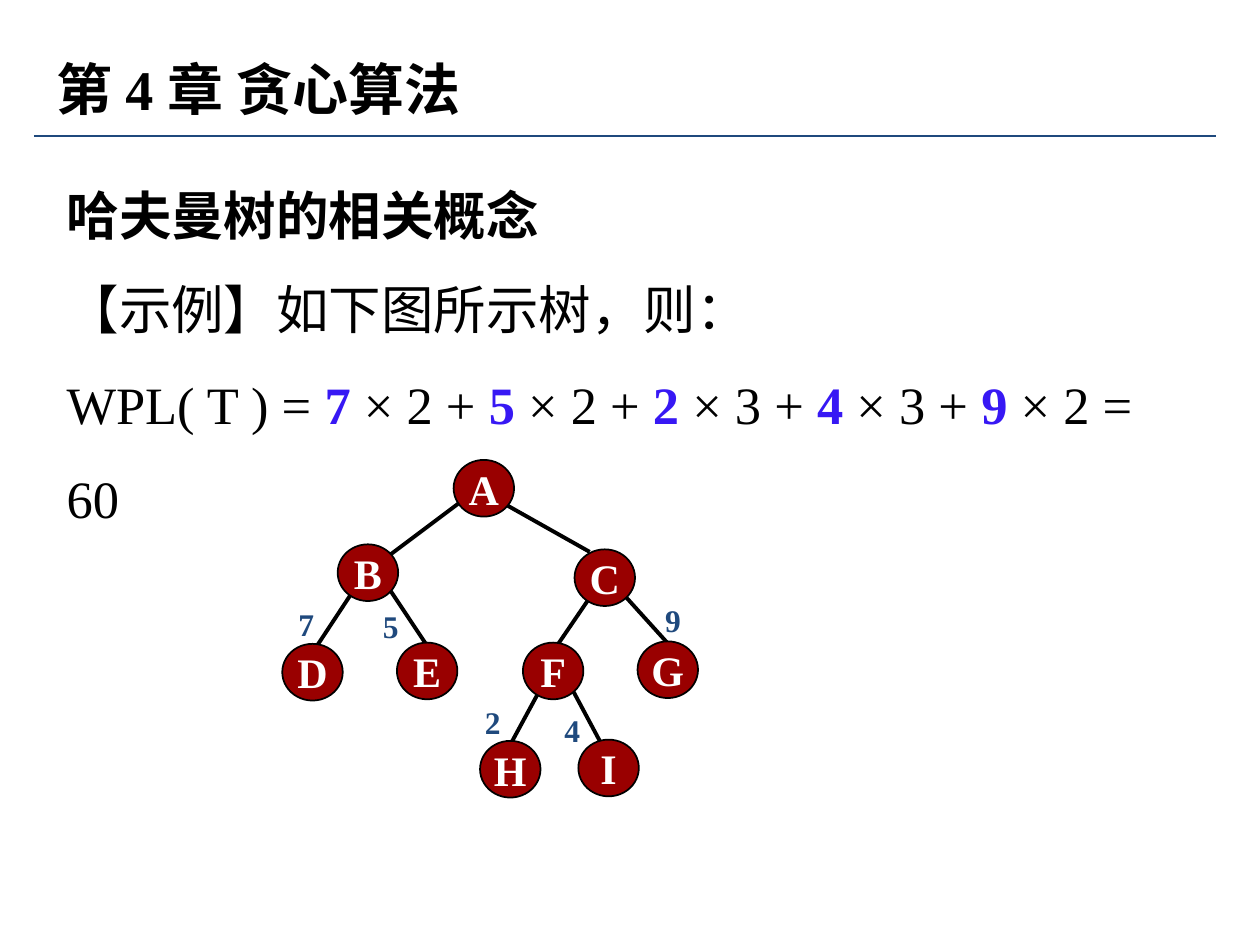
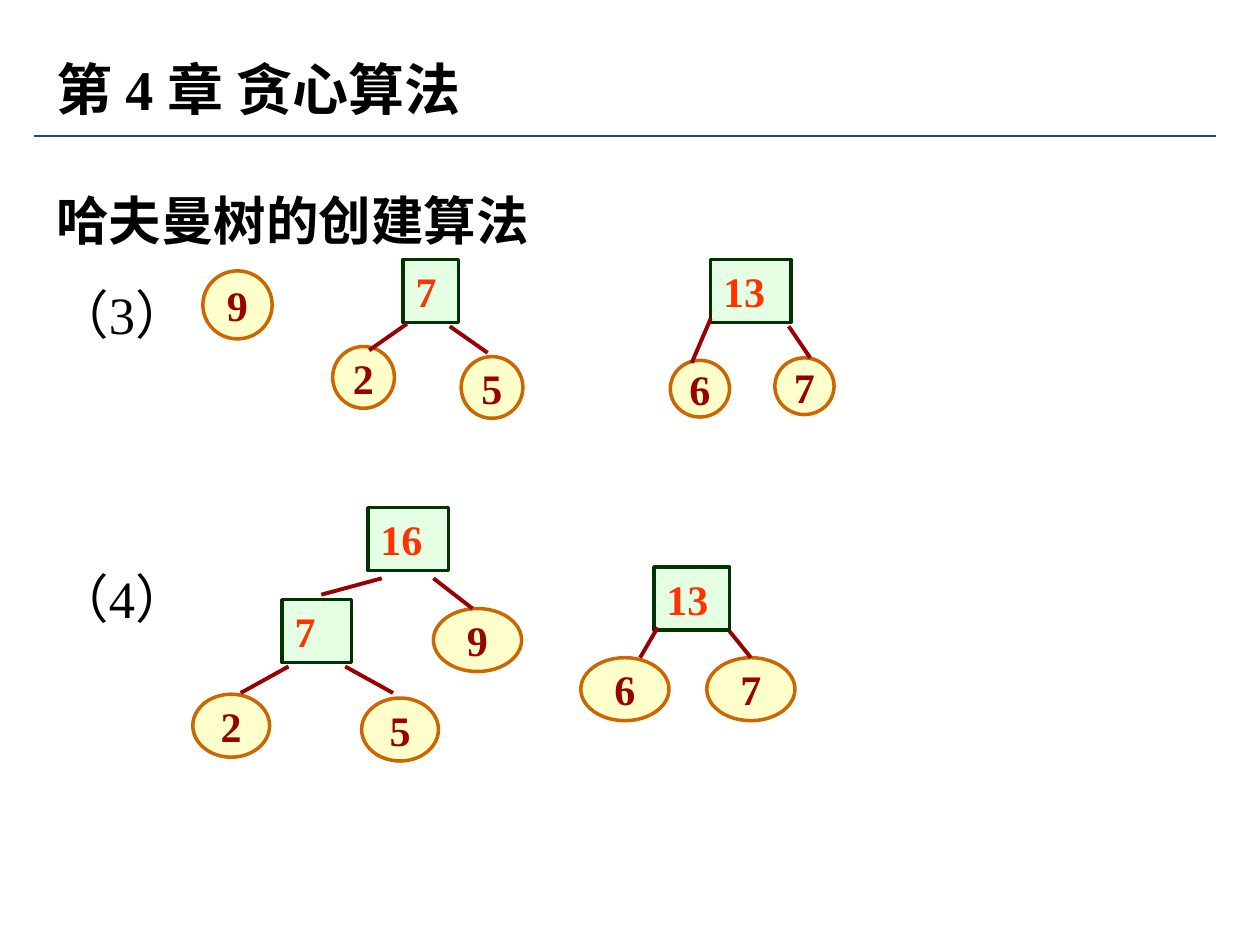
"""Builds two slides on Huffman trees: weighted path length and tree construction."""
from lxml import etree
from pptx import Presentation
from pptx.dml.color import RGBColor
from pptx.enum.shapes import MSO_CONNECTOR, MSO_SHAPE
from pptx.enum.text import MSO_ANCHOR, PP_ALIGN
from pptx.oxml.ns import qn
from pptx.util import Inches, Pt

STRAIGHT = MSO_CONNECTOR.STRAIGHT
ELLIPSE, RECTANGLE = MSO_SHAPE.OVAL, MSO_SHAPE.RECTANGLE
LEFT, CENTER = PP_ALIGN.LEFT, PP_ALIGN.CENTER
TOP, MIDDLE = MSO_ANCHOR.TOP, MSO_ANCHOR.MIDDLE

FONT = "Times New Roman"
BLACK, WHITE, NAVY, VIOLET = "000000", "FFFFFF", "1F497D", "3718F4"
DARK_RED, ORANGE_RED = "990000", "FF3300"
LEAF_FILL, LEAF_LINE = "FFFF99", "CC6600"
SUM_FILL, SUM_LINE = "CCFFCC", "003300"

CHAPTER = "第 4 章 贪心算法"
CHAPTER_BOX = (0.35, 0.38, 6.46, 0.64)
CHAPTER_RULE = (0.27, 1.08, 9.65, 1.08)

CONCEPT_BOX = (0.43, 1.15, 9.06, 3.1)
CONCEPT_HEADING = "哈夫曼树的相关概念"
CONCEPT_INTRO = "【示例】如下图所示树，则："
WPL_START, WPL_RESULT = "WPL( T ) = ", " = 60"
WPL_TERMS = [(7, 2), (5, 2), (2, 3), (4, 3), (9, 2)]

TREE_NODE_SIZE = (0.48, 0.45)
TREE_NODES = {
    "A": (3.6, 3.65), "B": (2.68, 4.32), "C": (4.56, 4.36),
    "D": (2.24, 5.11), "E": (3.15, 5.1), "F": (4.15, 5.1),
    "G": (5.06, 5.09), "H": (3.81, 5.88), "I": (4.59, 5.87),
}
TREE_BRANCHES = [
    (3.97, 3.98, 4.68, 4.38), (3.66, 3.98, 3.06, 4.43),
    (4.31, 5.43, 4.05, 5.91), (4.52, 5.43, 4.76, 5.88),
    (2.79, 4.71, 2.48, 5.18), (3.1, 4.69, 3.42, 5.17),
    (4.71, 4.7, 4.39, 5.17), (4.96, 4.73, 5.34, 5.15),
]
WEIGHT_SIZE = (0.39, 0.4)
WEIGHTS = [("7", 2.27, 4.75), ("5", 2.94, 4.77), ("2", 3.75, 5.53),
           ("4", 4.38, 5.59), ("9", 5.18, 4.72)]

CREATION_BOX = (0.35, 1.19, 9.06, 3.85)
CREATION_HEADING = "哈夫曼树的创建算法"
STEPS = ["（3）", "（4）"]
STEP_GAP = 108
LEAVES = [
    ("7", 6.15, 2.84, 0.47, 0.45), ("6", 5.32, 2.86, 0.47, 0.45),
    ("9", 1.61, 2.15, 0.55, 0.54),
    ("5", 3.66, 2.83, 0.49, 0.49), ("2", 2.64, 2.75, 0.49, 0.49),
    ("6", 4.61, 5.22, 0.7, 0.5), ("7", 5.61, 5.22, 0.7, 0.5),
    ("9", 3.44, 4.83, 0.7, 0.5),
    ("5", 2.87, 5.54, 0.61, 0.5), ("2", 1.53, 5.51, 0.61, 0.5),
]
SUM_HEIGHT = 0.5
SUMS = [("13", 5.64, 2.06, 0.64), ("7", 3.2, 2.06, 0.44),
        ("13", 5.19, 4.5, 0.6), ("7", 2.24, 4.76, 0.55),
        ("16", 2.92, 4.03, 0.64)]
SUM_BRANCHES = [
    (5.64, 2.53, 5.49, 2.88), (6.26, 2.59, 6.43, 2.84),
    (3.23, 2.57, 2.93, 2.78), (3.57, 2.59, 3.87, 2.8),
    (5.22, 4.98, 5.08, 5.22), (5.79, 5.01, 5.96, 5.22),
    (2.29, 5.29, 1.91, 5.5), (2.74, 5.29, 3.12, 5.5),
    (3.44, 4.59, 3.75, 4.83), (3.03, 4.59, 2.55, 4.72),
]


def rgb(color):
    return RGBColor.from_string(color)


def format_run(run, size, color, bold):
    run.font.name = FONT
    run.font.size = Pt(size)
    run.font.bold = bold
    run.font.color.rgb = rgb(color)


def add_line(slide, ends, color, width):
    line = slide.shapes.add_connector(STRAIGHT, *map(Inches, ends))
    line.line.color.rgb = rgb(color)
    line.line.width = Pt(width)
    etree.SubElement(line.element.spPr, qn("a:effectLst"))


def add_text(slide, box, paragraphs, size, before=0, spacing=None):
    """Each paragraph is a list of (text, color, bold) runs."""
    frame = slide.shapes.add_textbox(*map(Inches, box)).text_frame
    frame.word_wrap = True
    for index, runs in enumerate(paragraphs):
        paragraph = frame.add_paragraph() if index else frame.paragraphs[0]
        paragraph.space_before = Pt(before)
        if spacing:
            paragraph.line_spacing = spacing
        for text, color, bold in runs:
            run = paragraph.add_run()
            run.text = text
            format_run(run, size, color, bold)
    return frame


def add_node(slide, kind, label, box, fill, line, width, color, opacity=100):
    node = slide.shapes.add_shape(kind, *map(Inches, box))
    node.shadow.inherit = False
    node.fill.solid()
    node.fill.fore_color.rgb = rgb(fill)
    if opacity < 100:
        tint = node.element.spPr.find(qn("a:solidFill"))[0]
        etree.SubElement(tint, qn("a:alpha"), val=str(opacity * 1000))
    node.line.color.rgb = rgb(line)
    node.line.width = Pt(width)
    frame = node.text_frame
    round_node = kind == ELLIPSE
    frame.word_wrap = not round_node
    frame.vertical_anchor = MIDDLE if round_node else TOP
    frame.text = label
    frame.paragraphs[0].alignment = CENTER if round_node else LEFT
    format_run(frame.paragraphs[0].runs[0], 24, color, True)


def add_chapter_slide(deck):
    slide = deck.slides.add_slide(deck.slide_layouts[6])
    add_line(slide, CHAPTER_RULE, NAVY, 1.5)
    add_text(slide, CHAPTER_BOX, [[(CHAPTER, BLACK, True)]], 32, before=20)
    return slide


def wpl_runs():
    runs = [(WPL_START, BLACK, False)]
    for index, (weight, depth) in enumerate(WPL_TERMS):
        last = index == len(WPL_TERMS) - 1
        runs.append((str(weight), VIOLET, True))
        runs.append((f" × {depth}" + (WPL_RESULT if last else " + "), BLACK, False))
    return runs


def build_concept_slide(deck):
    slide = add_chapter_slide(deck)
    for ends in TREE_BRANCHES:
        add_line(slide, ends, BLACK, 2.25)
    for label, corner in TREE_NODES.items():
        add_node(slide, ELLIPSE, label, corner + TREE_NODE_SIZE,
                 DARK_RED, BLACK, 1, WHITE)
    for weight, left, top in WEIGHTS:
        add_text(slide, (left, top) + WEIGHT_SIZE, [[(weight, NAVY, True)]],
                 18, before=11.2)
    add_text(slide, CONCEPT_BOX,
             [[(CONCEPT_HEADING, BLACK, True)], [(CONCEPT_INTRO, BLACK, False)],
              wpl_runs()], 30, spacing=1.5)


def build_creation_slide(deck):
    slide = add_chapter_slide(deck)
    paragraphs = [[(CREATION_HEADING, BLACK, True)]]
    paragraphs += [[(step, BLACK, False)] for step in STEPS]
    body = add_text(slide, CREATION_BOX, paragraphs, 30, spacing=1.5)
    body.paragraphs[-1].space_before = Pt(STEP_GAP)
    for label, *box in LEAVES:
        add_node(slide, ELLIPSE, label, box, LEAF_FILL, LEAF_LINE, 2,
                 DARK_RED, opacity=50)
    for label, left, top, width in SUMS:
        add_node(slide, RECTANGLE, label, (left, top, width, SUM_HEIGHT),
                 SUM_FILL, SUM_LINE, 2, ORANGE_RED, opacity=50)
    for ends in SUM_BRANCHES:
        add_line(slide, ends, DARK_RED, 2.25)


def main():
    deck = Presentation()
    deck.slide_width, deck.slide_height = Inches(10), Inches(7.5)
    build_concept_slide(deck)
    build_creation_slide(deck)
    deck.save("out.pptx")


if __name__ == "__main__":
    main()
